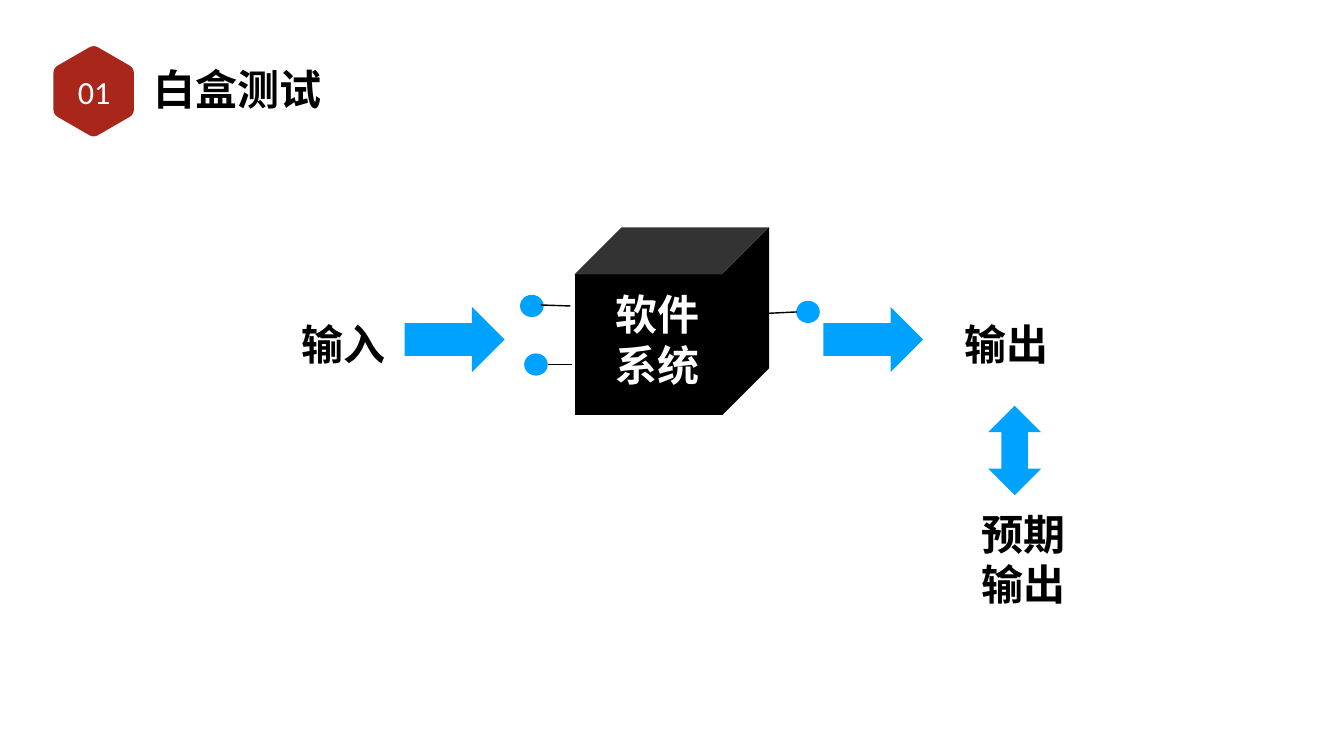
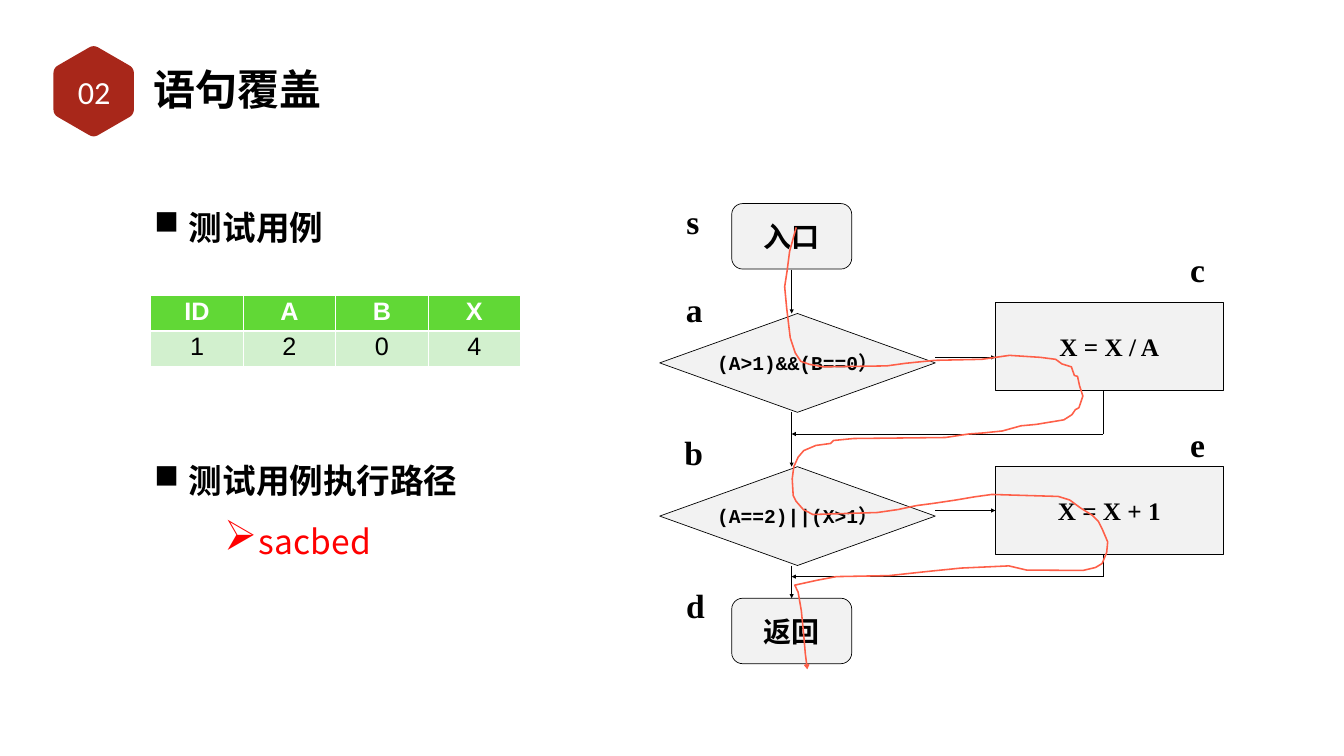
from math import cos, radians, sin

from lxml.etree import SubElement
from pptx import Presentation
from pptx.dml.color import RGBColor
from pptx.enum.shapes import MSO_CONNECTOR, MSO_SHAPE as Shape
from pptx.enum.text import MSO_ANCHOR as Anchor, MSO_AUTO_SIZE as AutoSize, PP_ALIGN as Align
from pptx.oxml.ns import qn
from pptx.util import Cm, Pt

RED, BLUE, GREY = "A8271A", "00A2FF", "F2F2F2"
BLACK, WHITE, ROUTE = "000000", "FFFFFF", "FE5F48"
GREEN, PALE_GREEN, BRIGHT_RED = "61D836", "D2F0CE", "FF0000"
CHINESE, SERIF, CODE = "Noto Sans CJK SC", "Times New Roman", "Courier New"

HEADING = {"name": CHINESE, "size": Pt(60), "bold": True}
NUMBER = {"name": "Calibri", "size": Pt(46)}
TERMINAL = {"name": SERIF, "size": Pt(40), "bold": True}
CONDITION = {"name": CODE, "size": Pt(28), "bold": True}
STATEMENT = {"name": SERIF, "size": Pt(36), "bold": True}
LETTER = {"name": SERIF, "size": Pt(48), "bold": True}
BULLET = {"name": CHINESE, "size": Pt(48), "bold": True}
SUB_BULLET = {**BULLET, "bold": False}
HEADER_CELL = {"name": "Arial", "size": Pt(36), "bold": True}
BODY_CELL = {**HEADER_CELL, "bold": False}

# Route of the test case through the flow chart, in centimetres
ROUTE_POINTS = [
    (40.13, 11.46), (39.8, 12.67), (39.67, 13.67), (39.55, 14.45), (39.65, 15.52),
    (39.83, 17.02), (40.08, 17.78), (40.36, 18.21), (40.79, 18.36), (41.5, 18.49),
    (44.7, 18.44), (45.64, 18.31), (47.12, 18.16), (49.48, 18.11), (50.88, 17.91),
    (52.43, 18.01), (53.21, 18.11), (53.52, 18.34), (54, 18.49), (54.15, 18.92),
    (54.31, 18.97), (54.41, 19.43), (54.58, 19.96), (54.38, 20.55), (54.2, 20.65),
    (54.03, 20.9), (53.62, 21.16), (52.22, 21.39), (51.46, 21.46), (50.52, 21.72),
    (49.56, 21.82), (48.84, 21.87), (47.65, 22.05), (43.03, 22.1), (42.01, 22.2),
    (41.86, 22.35), (41.12, 22.45), (40.51, 22.71), (40.23, 23.04), (40.01, 23.52),
    (39.93, 24.13), (39.98, 24.97), (40.13, 25.27), (40.49, 25.68), (40.97, 25.93),
    (44.22, 25.83), (45.26, 25.68), (46.2, 25.48), (47.04, 25.37), (48.18, 25.2),
    (49.12, 25.04), (49.99, 24.92), (53.34, 25.02), (53.92, 25.2), (54.46, 25.6),
    (55.04, 25.96), (55.35, 26.26), (55.58, 26.72), (55.83, 27.31), (55.78, 27.84),
    (55.55, 28.4), (55.22, 28.6), (54.58, 28.75), (51.74, 28.73), (50.85, 28.52),
    (48.44, 28.63), (46.76, 28.8), (44.81, 29.01), (42.16, 29.06), (41.2, 29.24),
    (40.06, 29.49), (40.23, 29.85), (40.39, 30.78), (40.51, 32), (40.59, 32.94),
    (40.69, 33.73),
]


def color(hex_text):
    return RGBColor.from_string(hex_text)


def rounded_hexagon(center_x, center_y, radius, cut=0.115, steps=6):
    """Outline of a pointed-top hexagon whose corners are quadratic curves."""
    corners = [(center_x + radius * cos(radians(angle)), center_y + radius * sin(radians(angle)))
               for angle in range(-90, 270, 60)]
    points = []
    for index, corner in enumerate(corners):
        before, after = corners[index - 1], corners[(index + 1) % 6]
        for step in range(steps + 1):
            t = step / steps
            points.append(tuple(
                c + cut * ((1 - t) ** 2 * (b - c) + t ** 2 * (a - c))
                for b, c, a in zip(before, corner, after)))
    return points


class Deck:
    def __init__(self):
        self.presentation = Presentation()
        self.presentation.slide_width = Cm(67.74)
        self.presentation.slide_height = Cm(38.1)
        self.slide = None

    def new_slide(self, number, title):
        self.slide = self.presentation.slides.add_slide(self.presentation.slide_layouts[6])
        self.outline(rounded_hexagon(4.72, 4.6, 2.34), fill=RED)
        self.text(7.6, 3, 15.29, 2.9, [title], HEADING, align=Align.LEFT, wrap=True)
        self.text(2.54, 3.28, 4.42, 2.67, [number], NUMBER, WHITE, inset=0.13, wrap=True)

    def styled_run(self, paragraph, text, font_format, hex_text=BLACK, align=Align.CENTER):
        paragraph.alignment = align
        run = paragraph.add_run()
        run.text = text
        for name, value in font_format.items():
            setattr(run.font, name, value)
        run.font.color.rgb = color(hex_text)
        SubElement(run._r.get_or_add_rPr(), qn("a:ea"), typeface=CHINESE)

    def frame(self, shape, inset=None, wrap=False, anchor=Anchor.MIDDLE):
        frame = shape.text_frame
        frame.word_wrap = wrap
        frame.vertical_anchor = anchor
        if inset is not None:
            for side in ("left", "top", "right", "bottom"):
                setattr(frame, f"margin_{side}", Cm(inset))
        return frame

    def text(self, left, top, width, height, lines, font_format, hex_text=BLACK,
             align=Align.CENTER, inset=0.15, wrap=False, anchor=Anchor.MIDDLE):
        box = self.slide.shapes.add_textbox(Cm(left), Cm(top), Cm(width), Cm(height))
        frame = self.frame(box, inset, wrap, anchor)
        if not wrap:
            frame.auto_size = AutoSize.SHAPE_TO_FIT_TEXT
        for index, line in enumerate(lines):
            paragraph = frame.add_paragraph() if index else frame.paragraphs[0]
            self.styled_run(paragraph, line, font_format, hex_text, align)

    def bullets(self, top, height, items):
        """Each item is (text, format, colour, bullet, size in %, left margin, spacing)."""
        box = self.slide.shapes.add_textbox(Cm(7.62), Cm(top), Cm(20.62), Cm(height))
        frame = self.frame(box, 0.15, True, Anchor.TOP)
        for index, (text, font_format, hex_text, bullet, size, margin, spacing) in enumerate(items):
            paragraph = frame.add_paragraph() if index else frame.paragraphs[0]
            properties = paragraph._p.get_or_add_pPr()
            properties.set("marL", str(Cm(margin)))
            properties.set("indent", str(Cm(-1.75)))
            SubElement(properties, qn("a:buSzPct"), val=str(size * 1000))
            SubElement(properties, qn("a:buChar"), char=bullet)
            paragraph.line_spacing = spacing
            self.styled_run(paragraph, text, font_format, hex_text, Align.LEFT)

    def paint(self, shape, fill=None, line=None, width=1):
        shape.shadow.inherit = False
        if fill:
            shape.fill.solid()
            shape.fill.fore_color.rgb = color(fill)
        else:
            shape.fill.background()
        if line:
            shape.line.color.rgb = color(line)
            shape.line.width = Pt(width)
        else:
            shape.line.fill.background()

    def shape(self, kind, left, top, width, height, fill, line=None, text=None, font_format=None):
        shape = self.slide.shapes.add_shape(kind, Cm(left), Cm(top), Cm(width), Cm(height))
        self.paint(shape, fill, line)
        if text:
            self.styled_run(self.frame(shape).paragraphs[0], text, font_format)

    def outline(self, points, fill=None, line=None, width=1, head=None):
        (start_x, start_y), *rest = [(Cm(x), Cm(y)) for x, y in points]
        builder = self.slide.shapes.build_freeform(start_x, start_y)
        builder.add_line_segments(rest, close=bool(fill))
        shape = builder.convert_to_shape()
        self.paint(shape, fill, line, width)
        if head:
            self.arrowhead(shape, head)

    def arrowhead(self, shape, kind):
        SubElement(shape.line._get_or_add_ln(), qn("a:tailEnd"), type=kind)

    def line(self, start, end, width=1, head=None):
        connector = self.slide.shapes.add_connector(
            MSO_CONNECTOR.STRAIGHT, *(Cm(value) for value in (*start, *end)))
        connector.line.color.rgb = color(BLACK)
        connector.line.width = Pt(width)
        if head:
            self.arrowhead(connector, head)
        SubElement(connector._element.spPr, qn("a:effectLst"))

    def borders(self, cell, widths):
        properties = cell._tc.get_or_add_tcPr()
        for index, (side, width) in enumerate(zip("LRTB", widths)):
            border = properties.makeelement(qn(f"a:ln{side}"), {"w": str(Pt(width))})
            fill = SubElement(border, qn("a:solidFill"))
            SubElement(fill, qn("a:srgbClr"), val=WHITE)
            properties.insert(index, border)

    def table(self, left, top, column_width, row_height, rows):
        count = len(rows[0])
        table = self.slide.shapes.add_table(
            len(rows), count, Cm(left), Cm(top),
            Cm(column_width * count), Cm(row_height * len(rows))).table
        for row_index, values in enumerate(rows):
            table.rows[row_index].height = Cm(row_height)
            header = row_index == 0
            for column_index, value in enumerate(values):
                table.columns[column_index].width = Cm(column_width)
                cell = table.cell(row_index, column_index)
                cell.fill.solid()
                cell.fill.fore_color.rgb = color(GREEN if header else PALE_GREEN)
                self.borders(cell, (1, 1, 1, 3) if header else (1, 1, 1, 1))
                self.styled_run(cell.text_frame.paragraphs[0], value,
                                HEADER_CELL if header else BODY_CELL, WHITE if header else BLACK)


def white_box_slide(deck):
    deck.new_slide("01", "白盒测试")

    # System cube
    deck.shape(Shape.CUBE, 28.96, 11.46, 9.8, 9.47, BLACK)
    deck.text(30.86, 14.4, 4.57, 5.41, ["软件", "系统"], HEADING, WHITE)

    # Input, output and expected output
    for left in (41.5, 20.4):
        deck.shape(Shape.RIGHT_ARROW, left, 15.47, 5.03, 3.28, BLUE)
    deck.text(49.28, 25.45, 4.57, 5.41, ["预期", "输出"], HEADING)
    for left, label in ((48.44, "输出"), (15.01, "输入")):
        deck.text(left, 15.88, 4.57, 2.84, [label], HEADING)
    deck.shape(Shape.UP_DOWN_ARROW, 49.81, 20.45, 2.67, 4.5, BLUE)

    # Ports of the cube
    ports = [((26.21, 14.86), (27.25, 15.37), (28.75, 15.42)),
             ((26.42, 17.81), (27.61, 18.36), (28.85, 18.36)),
             ((40.13, 15.16), (38.51, 15.8), (40.16, 15.72))]
    for dot, start, end in ports:
        deck.shape(Shape.OVAL, *dot, 1.19, 1.12, BLUE)
        deck.line(start, end, width=2)


def statement_coverage_slide(deck):
    deck.new_slide("02", "语句覆盖")

    # Flow chart nodes
    nodes = [
        (Shape.FLOWCHART_ALTERNATE_PROCESS, 36.88, 6.05, 3.3, TERMINAL,
         ((10.26, "入口"), (30.15, "返回"))),
        (Shape.FLOWCHART_DECISION, 33.25, 13.89, 4.98, CONDITION,
         ((15.8, "(A>1)&&(B==0）"), (23.52, "(A==2)||(X>1）"))),
        (Shape.FLOWCHART_PROCESS, 50.17, 11.48, 4.42, STATEMENT,
         ((15.24, "X = X / A"), (23.52, "X = X + 1"))),
    ]
    for kind, left, width, height, font_format, entries in nodes:
        for top, text in entries:
            deck.shape(kind, left, top, width, height, GREY, BLACK, text, font_format)

    # Flow lines: main axis, branches and returns
    axis, return_x = 39.9, 55.6
    for start, end in ((13.59, 15.8), (20.78, 23.52), (28.5, 30.15)):
        deck.line((axis, start), (axis, end), head="triangle")
    for y in (18.01, 25.73):
        deck.line((47.14, y), (50.17, y), head="triangle")
    for start, end in ((19.66, 21.87), (27.94, 29.06)):
        deck.line((return_x, start), (return_x, end))
        deck.line((return_x, end), (axis, end), head="triangle")

    # Edge letters
    letters = [("s", 34.09, 10.01, 1.68), ("a", 34.01, 14.43, 1.96), ("b", 33.93, 21.62, 2.08),
               ("d", 34.01, 29.34, 2.08), ("c", 59.46, 12.42, 1.8), ("e", 59.46, 21.23, 1.8)]
    for letter, left, top, width in letters:
        deck.text(left, top, width, 3.02, [letter], LETTER, inset=None, anchor=Anchor.TOP)

    deck.outline(ROUTE_POINTS, line=ROUTE, width=2.25, head="arrow")

    # Test case and its path
    deck.bullets(8.23, 6.63, [("测试用例", BULLET, BLACK, "■", 100, 1.75, 2.0)])
    deck.table(7.6, 14.88, 4.66, 1.78, ["ID A B X".split(), "1 2 0 4".split()])
    deck.bullets(21.01, 5.28, [
        ("测试用例执行路径", BULLET, BLACK, "■", 100, 1.75, 2.0),
        ("sacbed", SUB_BULLET, BRIGHT_RED, "➢", 125, 5.28, 1.5)])


def main():
    deck = Deck()
    white_box_slide(deck)
    statement_coverage_slide(deck)
    deck.presentation.save("out.pptx")


if __name__ == "__main__":
    main()
